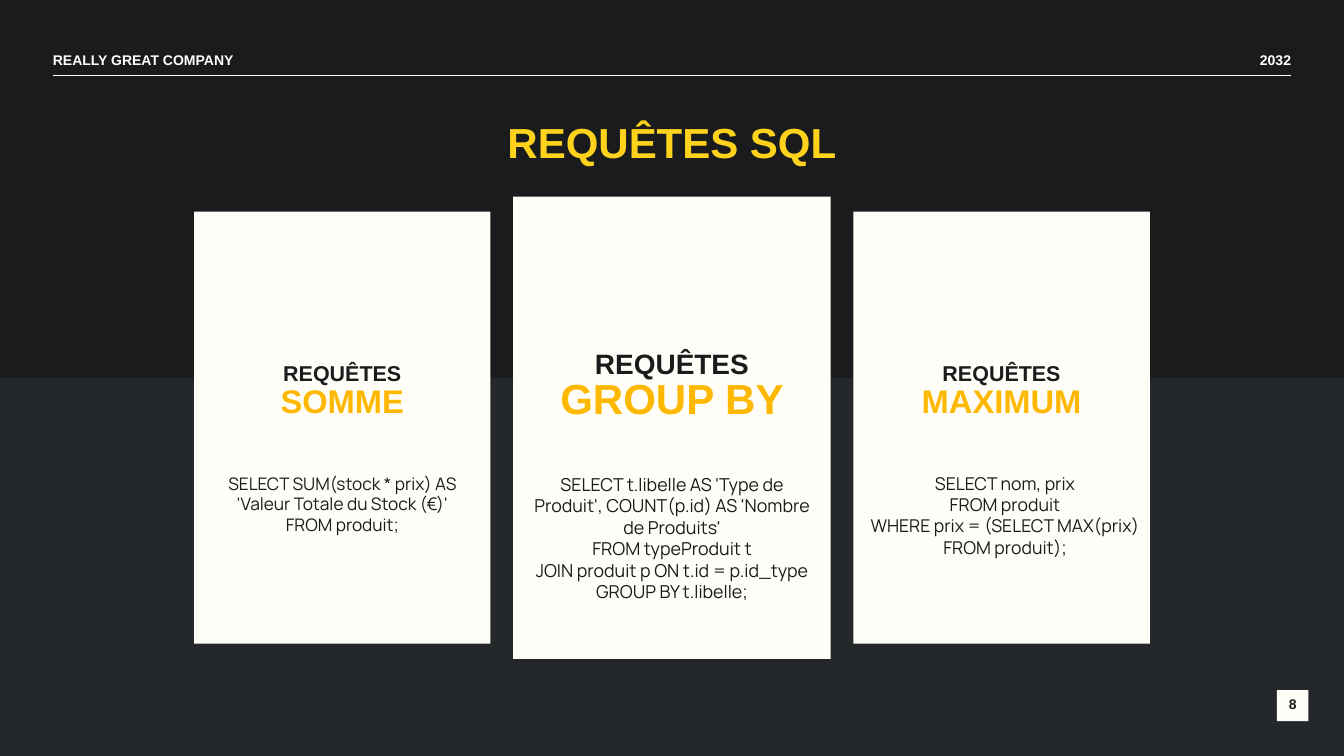
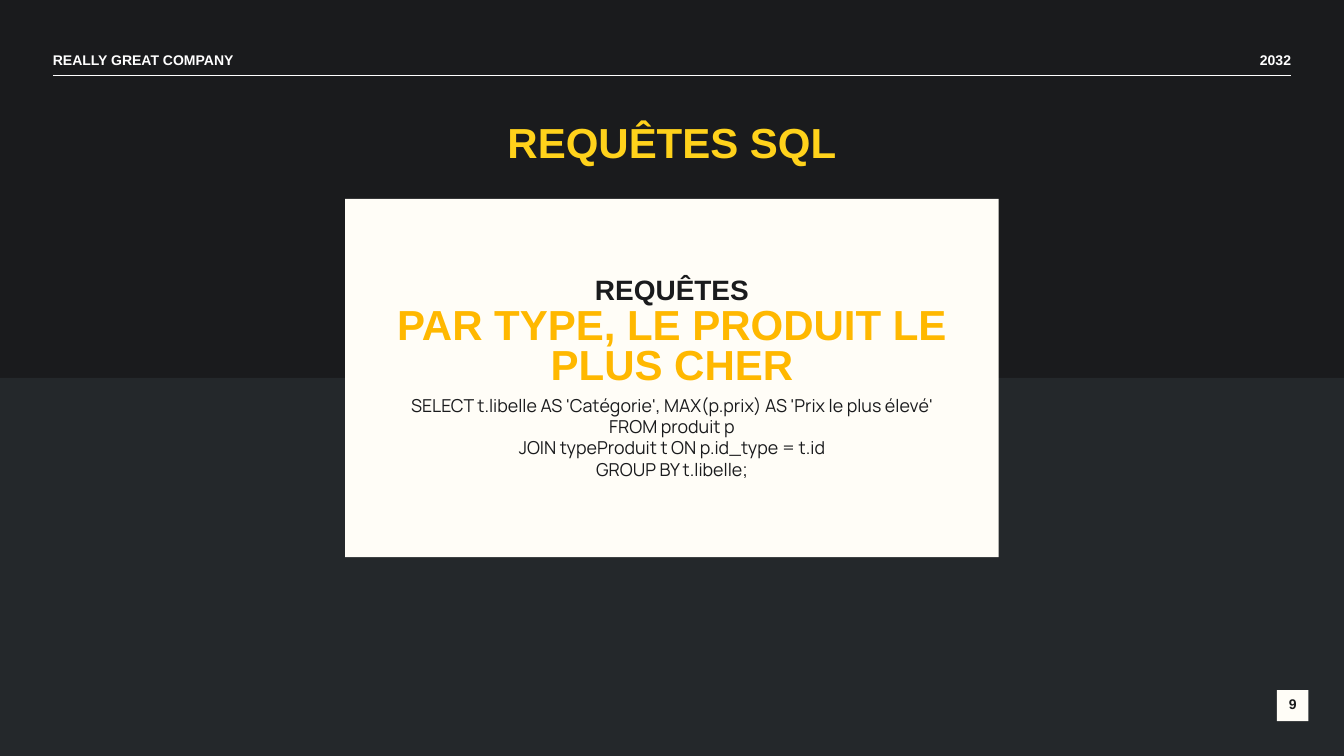
from lxml import etree
from pptx import Presentation
from pptx.dml.color import RGBColor
from pptx.enum import shapes as sh, text as tx
from pptx.oxml import ns
from pptx.util import Cm, Pt

# Colours and fonts
DARK = RGBColor(0x1A, 0x1B, 0x1D)
SLATE = RGBColor(0x24, 0x28, 0x2B)
CREAM = RGBColor(0xFF, 0xFD, 0xF7)
WHITE = RGBColor(0xFF, 0xFF, 0xFF)
YELLOW = RGBColor(0xFF, 0xD2, 0x1B)
AMBER = RGBColor(0xFF, 0xB8, 0x00)
HEAD, BODY = "Arial", "Manrope"

# Page measures in centimetres
WIDE, HIGH = 50.8, 28.58
MID = WIDE / 2
EDGE = 2
GAP = 0.86

LEFT, RIGHT, CENTER = tx.PP_ALIGN.LEFT, tx.PP_ALIGN.RIGHT, tx.PP_ALIGN.CENTER


def write(slide, words, x, y, w, size, h=None, color=DARK, font=HEAD,
          bold=True, align=CENTER, lead=0.96, box=None):
    """Set text in a box, one paragraph per line of words."""
    if box is None:
        box = slide.shapes.add_textbox(0, 0, 0, 0)
    box.left, box.top, box.width = Cm(x), Cm(y), Cm(w)
    box.height = Cm(h or size * 0.038)
    frame = box.text_frame
    frame.word_wrap = True
    frame.auto_size = tx.MSO_AUTO_SIZE.NONE
    frame.vertical_anchor = tx.MSO_ANCHOR.TOP
    frame.margin_left = frame.margin_right = 0
    frame.margin_top = frame.margin_bottom = 0
    frame.text = words
    for para in frame.paragraphs:
        para.alignment = align
        para.line_spacing = Pt(round(size * lead, 1))
        para.space_before = Pt(0)
        face = para.runs[0].font
        face.name, face.size, face.bold = font, Pt(size), bold
        face.color.rgb = color


def panel(slide, x, y, w, h, color):
    """Draw a plain filled rectangle."""
    rect = slide.shapes.add_shape(sh.MSO_SHAPE.RECTANGLE,
                                  Cm(x), Cm(y), Cm(w), Cm(h))
    rect.shadow.inherit = False
    rect.fill.solid()
    rect.fill.fore_color.rgb = color
    rect.line.fill.background()


def rule(slide, y):
    """Draw the thin line under the header."""
    line = slide.shapes.add_connector(sh.MSO_CONNECTOR.STRAIGHT, Cm(EDGE),
                                      Cm(y), Cm(WIDE - EDGE), Cm(y))
    line.line.color.rgb = WHITE
    line.line.width = Pt(1)
    etree.SubElement(line._element.spPr, ns.qn("a:effectLst"))


def page(deck, title, number):
    """Add a slide with its lower band, header, title and page number."""
    slide = deck.slides.add_slide(deck.slide_layouts[5])
    panel(slide, 0, HIGH / 2, WIDE, HIGH / 2, SLATE)

    # Header
    rule(slide, 2.84)
    span = 21.54
    for words, x, align in (("REALLY GREAT COMPANY", EDGE, LEFT),
                            ("2032", WIDE - EDGE - span, RIGHT)):
        write(slide, words, x, 2.06, span, 15, color=WHITE, align=align,
              lead=0.97)

    # Page number
    panel(slide, 48.26, 26.09, 1.2, 1.17, CREAM)
    write(slide, str(number), 48.26, 26.42, 1.2, 15, lead=0.97)

    # Title
    span = 29.08
    write(slide, title, MID - span / 2, 4.78, span, 45, color=YELLOW,
          box=slide.shapes.title)
    return slide


def card(slide, mid, axis, w, h, topic, tops, sizes, code, code_w, code_h,
         lines=1, shift=0):
    """Draw a card centred on (mid, axis): label, topic and SQL code."""
    x = mid - w / 2
    panel(slide, x, axis - h / 2, w, h, CREAM)
    write(slide, "REQUÊTES", x, tops[0], w, sizes[0])
    write(slide, topic, x, tops[1], w, sizes[1], color=AMBER,
          h=lines * sizes[1] * 0.038)
    write(slide, code, mid + shift - code_w / 2, tops[2], code_w, sizes[2],
          h=code_h, font=BODY, bold=False, lead=1.2)


def trio(deck):
    """Three cards, the middle one larger."""
    slide = page(deck, "REQUÊTES SQL", 8)
    axis, main_w, side_w = 16.17, 12, 11.2
    step = (main_w + side_w) / 2 + GAP
    card(slide, MID - step, axis, side_w, 16.33, "SOMME",
         (13.82, 14.71, 17.88), (23, 35, 18.5),
         "SELECT SUM(stock * prix) AS 'Valeur Totale du Stock (€)'\n"
         "FROM produit;", 10.29, 2.36)
    card(slide, MID, axis, main_w, 17.48, "GROUP BY",
         (13.34, 14.48, 17.91), (30, 45, 19.1),
         "SELECT t.libelle AS 'Type de Produit', "
         "COUNT(p.id) AS 'Nombre de Produits'\n"
         "FROM typeProduit t\n"
         "JOIN produit p ON t.id = p.id_type\n"
         "GROUP BY t.libelle;", 11.05, 5.69)
    card(slide, MID + step, axis, side_w, 16.33, "MAXIMUM",
         (13.82, 14.71, 17.88), (23, 35, 18.9),
         "SELECT nom, prix\n"
         "FROM produit\n"
         "WHERE prix = (SELECT MAX(prix) FROM produit);",
         10.95, 3.25, shift=0.13)


def single(deck):
    """One wide card."""
    slide = page(deck, "REQUÊTES SQL", 9)
    card(slide, MID, HIGH / 2, 24.7, 13.54,
         "PAR TYPE, LE PRODUIT LE PLUS CHER",
         (10.54, 11.66, 14.91), (30, 45, 19.1),
         "SELECT t.libelle AS 'Catégorie', MAX(p.prix) AS 'Prix le plus élevé'\n"
         "FROM produit p\n"
         "JOIN typeProduit t ON p.id_type = t.id\n"
         "GROUP BY t.libelle;", 22.78, 3.25, lines=2)


def main():
    deck = Presentation()
    deck.slide_width, deck.slide_height = Cm(WIDE), Cm(HIGH)
    back = deck.slide_master.background.fill
    back.solid()
    back.fore_color.rgb = DARK
    trio(deck)
    single(deck)
    deck.save("out.pptx")


if __name__ == "__main__":
    main()
